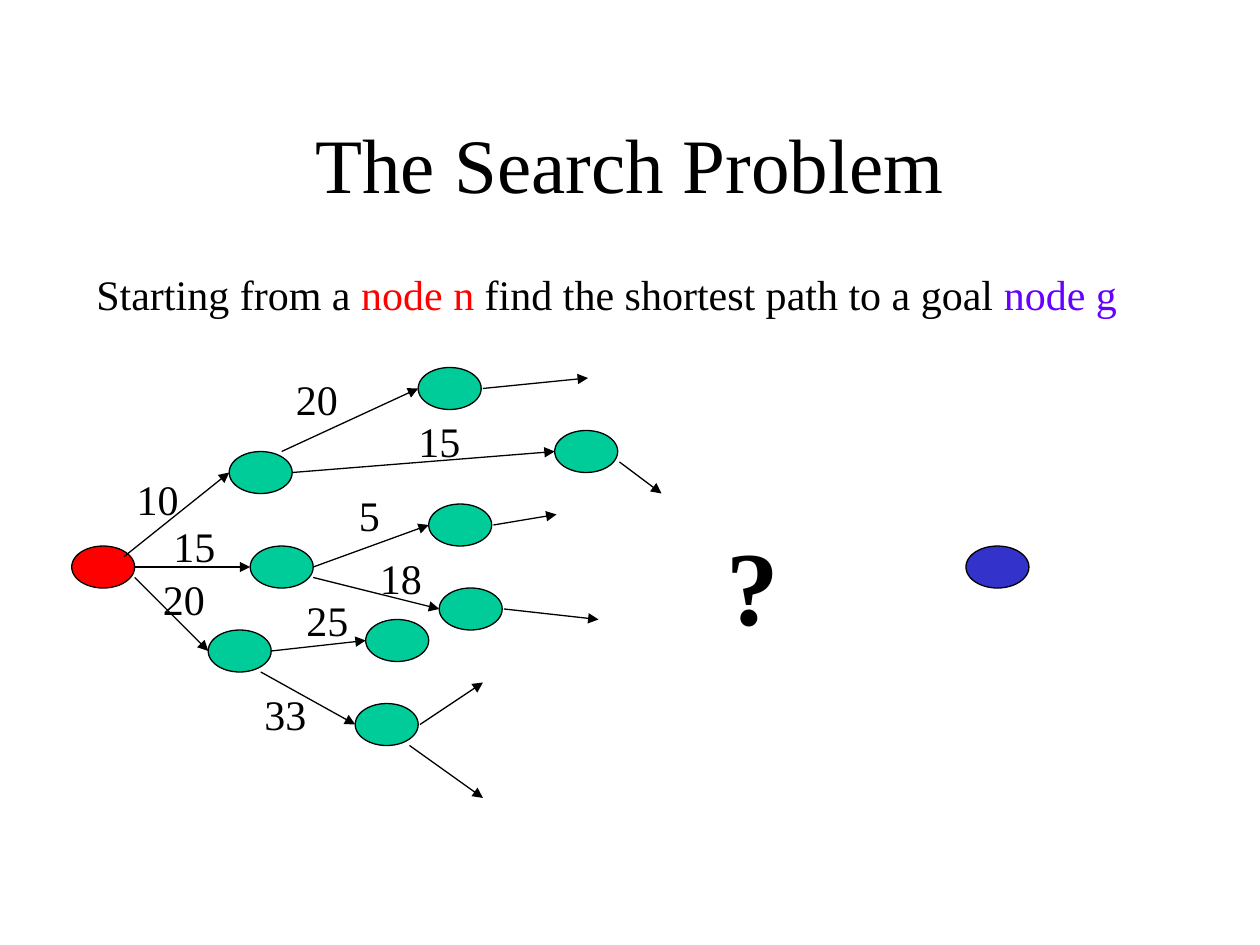
"""Build the slide "The Search Problem": a weighted search tree with an unknown path to the goal."""
import pptx
import pptx.dml.color
import pptx.enum.shapes
import pptx.enum.text
import pptx.oxml
import pptx.oxml.ns
import pptx.util

Pt = pptx.util.Pt
FONT = "Times New Roman"
COLOURS = {
    "text": "000000",
    "line": "000000",
    "start": "FF0000",
    "goal": "3333CC",
    "goal_text": "6600FF",
    "node": "00CC99",
}
NODE_WIDTH, NODE_HEIGHT = 36, 24
LABEL_WIDTH, LABEL_HEIGHT = 39, 36

NODES = [
    (131, 258), (143, 312), (119, 360),
    (239, 210), (317, 246), (245, 288),
    (251, 336), (209, 354), (203, 402),
]
ARROWS = [
    (71, 318, 131, 270), (77, 324, 143, 324), (77, 330, 119, 372),
    (161, 258, 239, 222), (167, 270, 317, 258),
    (179, 324, 245, 300), (179, 330, 251, 348),
    (155, 372, 209, 366), (149, 384, 203, 414),
    (276, 222, 336, 216), (354, 264, 378, 282),
    (282, 300, 318, 294), (288, 348, 342, 354),
    (240, 414, 276, 390), (234, 426, 276, 456),
]
COSTS = [
    ("10", 71, 267), ("15", 92, 294), ("20", 86, 324),
    ("20", 162, 210), ("15", 232, 234), ("5", 198, 276),
    ("18", 210, 312), ("25", 168, 336), ("33", 144, 390),
]


def colour(name):
    return pptx.dml.color.RGBColor.from_string(COLOURS[name])


def add_text(page, spans, left, top, width, height, *, size=24, bold=False,
             align="LEFT", anchor="TOP"):
    box = page.shapes.add_textbox(Pt(left), Pt(top), Pt(width), Pt(height))
    frame = box.text_frame
    frame.word_wrap = True
    frame.vertical_anchor = getattr(pptx.enum.text.MSO_ANCHOR, anchor)
    para = frame.paragraphs[0]
    para.alignment = getattr(pptx.enum.text.PP_ALIGN, align)
    for text, colour_name in spans:
        span = para.add_run()
        span.text = text
        span.font.name = FONT
        span.font.size = Pt(size)
        span.font.bold = bold
        span.font.color.rgb = colour(colour_name)


def add_node(page, left, top, fill="node"):
    node = page.shapes.add_shape(pptx.enum.shapes.MSO_SHAPE.OVAL, Pt(left), Pt(top),
                                 Pt(NODE_WIDTH), Pt(NODE_HEIGHT))
    node.shadow.inherit = False
    node.fill.solid()
    node.fill.fore_color.rgb = colour(fill)
    node.line.color.rgb = colour("line")
    node.line.width = Pt(0.75)


def add_arrow(page, *ends):
    arrow = page.shapes.add_connector(pptx.enum.shapes.MSO_CONNECTOR.STRAIGHT,
                                      *map(Pt, ends))
    arrow.line.color.rgb = colour("line")
    arrow.line.width = Pt(0.75)
    namespace = pptx.oxml.ns.nsdecls("a")
    head = pptx.oxml.parse_xml(f'<a:tailEnd {namespace} type="triangle"/>')
    arrow.line._get_or_add_ln().append(head)
    effects = pptx.oxml.parse_xml(f"<a:effectLst {namespace}/>")
    arrow._element.spPr.append(effects)


def main():
    deck = pptx.Presentation()
    deck.slide_width, deck.slide_height = Pt(720), Pt(540)
    page = deck.slides.add_slide(deck.slide_layouts[6])

    add_text(page, [("The Search Problem", "text")], 54, 48, 612, 90,
             size=44, align="CENTER", anchor="MIDDLE")
    add_text(page, [("Starting from a ", "text"), ("node n", "start"),
                    (" find the shortest path to a goal ", "text"),
                    ("node g", "goal_text")], 48, 150, 612, 324)

    add_node(page, 41, 312, "start")
    add_node(page, 552, 312, "goal")
    for node in NODES:
        add_node(page, *node)
    for arrow in ARROWS:
        add_arrow(page, *arrow)
    for cost, left, top in COSTS:
        add_text(page, [(cost, "text")], left, top, LABEL_WIDTH, LABEL_HEIGHT)
    add_text(page, [("?", "text")], 408, 294, 45, 79, size=60, bold=True)

    deck.save("out.pptx")


if __name__ == "__main__":
    main()
